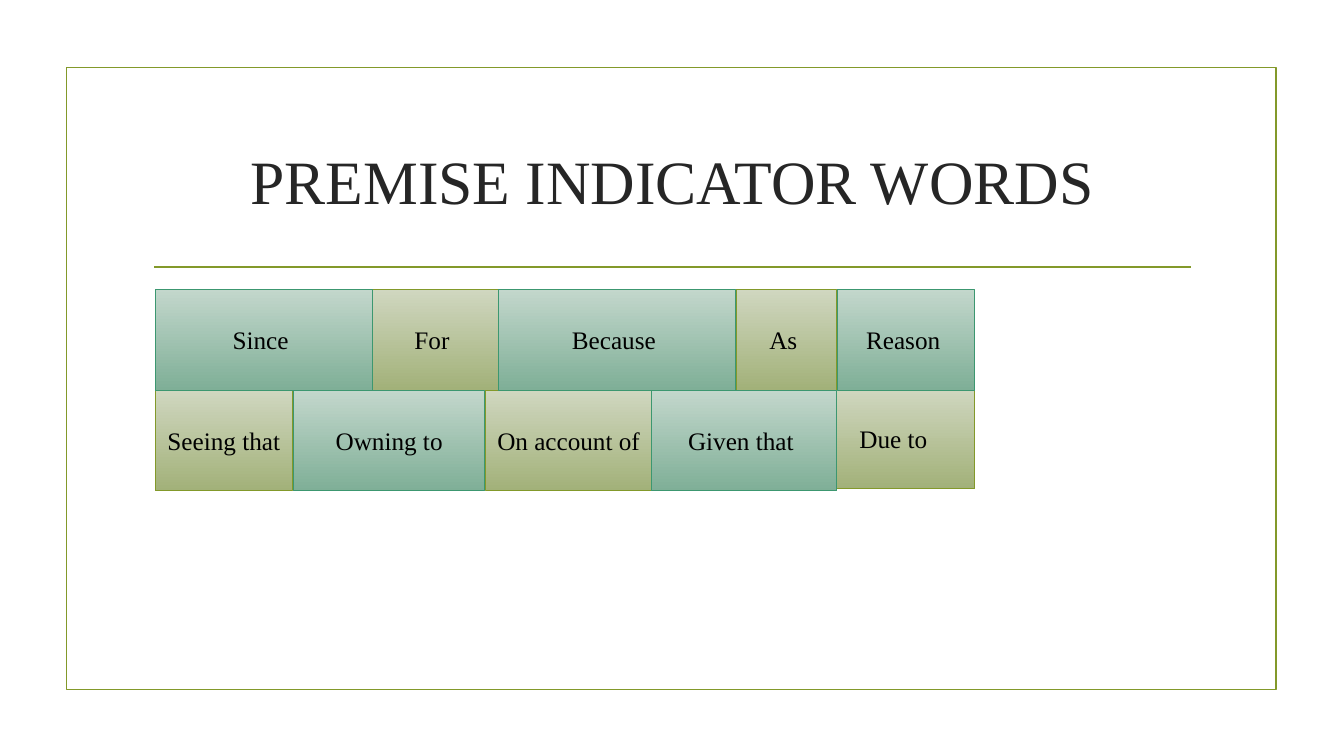
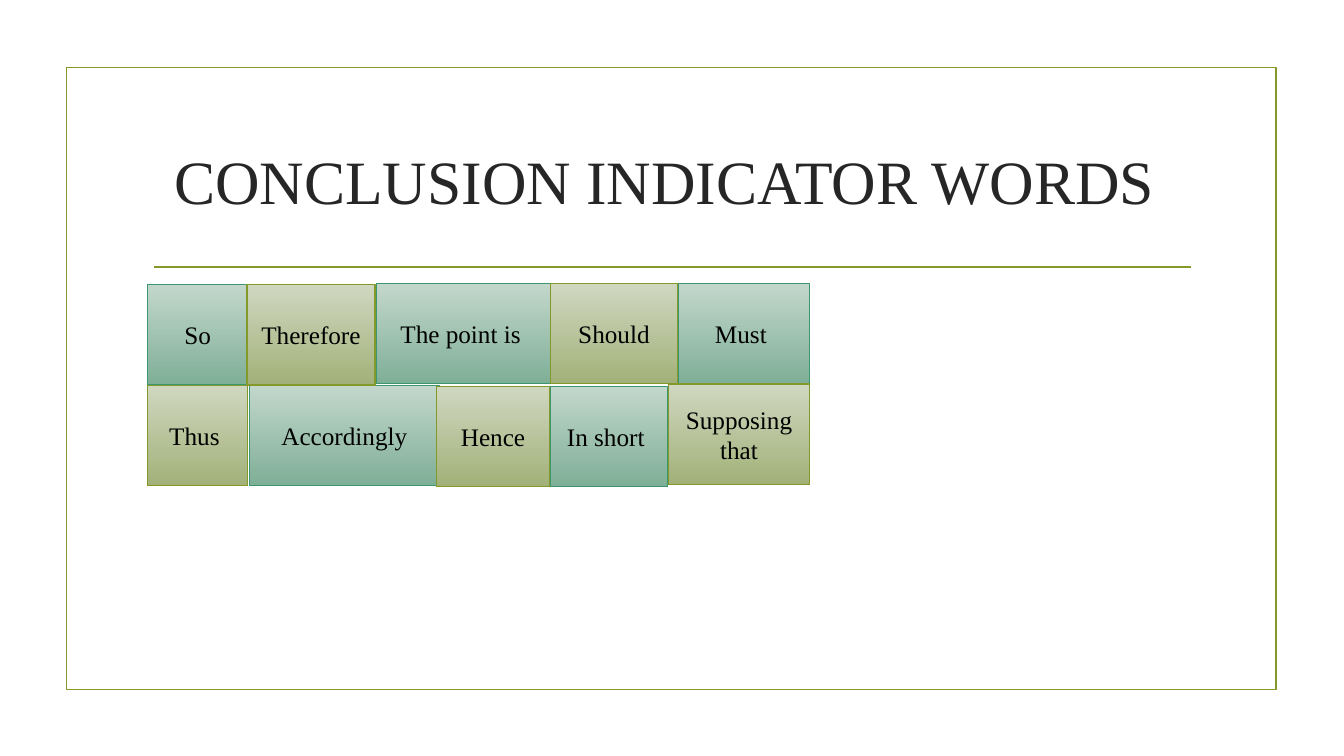
from dataclasses import dataclass

from lxml.etree import SubElement
from pptx import Presentation
from pptx.dml.color import RGBColor
from pptx.enum.shapes import MSO_CONNECTOR, MSO_SHAPE
from pptx.enum.text import MSO_ANCHOR, PP_ALIGN
from pptx.oxml.ns import qn
from pptx.util import Inches, Pt


@dataclass(frozen=True)
class Theme:
    font = "Times New Roman"
    title_size = Pt(44)
    word_size = Pt(18)
    title_color = RGBColor.from_string("262626")
    word_color = RGBColor.from_string("000000")
    accent = RGBColor.from_string("83992A")
    frame_width = Pt(1.25)
    tile_width = Pt(0.75)
    tiles = {
        "olive": ("D0D7C0", "A2B179", "83992A"),
        "green": ("C3D7CC", "7FAF97", "3C9770"),
    }


theme = Theme()
tile_height = 1

slides = [
    ("PREMISE INDICATOR WORDS", {
        "olive": [
            ("Due to", 8.05, 3.85, 1.62),
            ("On account of ", 4.82, 3.87, 1.64),
            ("For ", 3.69, 2.87, 1.25),
            ("Seeing that ", 1.54, 3.87, 1.36),
            ("As ", 7.3, 2.87, 1),
        ],
        "green": [
            ("Given that ", 6.46, 3.87, 1.84),
            ("Since ", 1.54, 2.87, 2.15),
            ("Owning to", 2.91, 3.87, 1.9),
            ("Reason ", 8.31, 2.87, 1.36),
            ("Because ", 4.94, 2.87, 2.36),
        ],
    }),
    ("CONCLUSION INDICATOR WORDS ", {
        "green": [
            ("In short ", 5.46, 3.83, 1.16),
            ("Accordingly", 2.47, 3.82, 1.89),
            ("The point is ", 3.73, 2.81, 1.74),
            ("Must ", 6.73, 2.81, 1.3),
            ("So", 1.46, 2.82, 1),
        ],
        "olive": [
            ("Hence", 4.33, 3.83, 1.12),
            ("Thus ", 1.46, 3.82, 1),
            ("Supposing that", 6.63, 3.81, 1.4),
            ("Should", 5.46, 2.81, 1.26),
            ("Therefore", 2.45, 2.82, 1.27),
        ],
    }),
]


def write_text(shape, text, size, color):
    frame = shape.text_frame
    frame.word_wrap = True
    frame.vertical_anchor = MSO_ANCHOR.MIDDLE
    paragraph = frame.paragraphs[0]
    paragraph.alignment = PP_ALIGN.CENTER
    run = paragraph.add_run()
    run.text = text
    run.font.name = theme.font
    run.font.size = size
    run.font.color.rgb = color


def add_rectangle(slide, left, top, width, height, line_color, line_width):
    shape = slide.shapes.add_shape(
        MSO_SHAPE.RECTANGLE, Inches(left), Inches(top), Inches(width), Inches(height))
    shape.shadow.inherit = False
    shape.line.color.rgb = line_color
    shape.line.width = line_width
    return shape


presentation = Presentation()
presentation.slide_width = Inches(13.33)
presentation.slide_height = Inches(7.5)

for title, groups in slides:
    slide = presentation.slides.add_slide(presentation.slide_layouts[6])

    border = add_rectangle(slide, 0.66, 0.67, 12, 6.17, theme.accent, theme.frame_width)
    border.fill.background()

    rule = slide.shapes.add_connector(
        MSO_CONNECTOR.STRAIGHT, Inches(1.53), Inches(2.65), Inches(11.81), Inches(2.65))
    rule.line.color.rgb = theme.accent
    rule.line.width = theme.frame_width
    SubElement(rule._element.spPr, qn("a:effectLst"))

    title_box = slide.shapes.add_textbox(
        Inches(1.42), Inches(1.07), Inches(10.5), Inches(1.43))
    write_text(title_box, title, theme.title_size, theme.title_color)

    for style, words in groups.items():
        start, end, outline = (RGBColor.from_string(code) for code in theme.tiles[style])
        for word, left, top, width in words:
            tile = add_rectangle(
                slide, left, top, width, tile_height, outline, theme.tile_width)
            tile.fill.gradient()
            tile.fill.gradient_angle = 270
            for stop, color, position in zip(tile.fill.gradient_stops, (start, end), (0, 1)):
                stop.color.rgb = color
                stop.position = position
            write_text(tile, word, theme.word_size, theme.word_color)

presentation.save("out.pptx")
